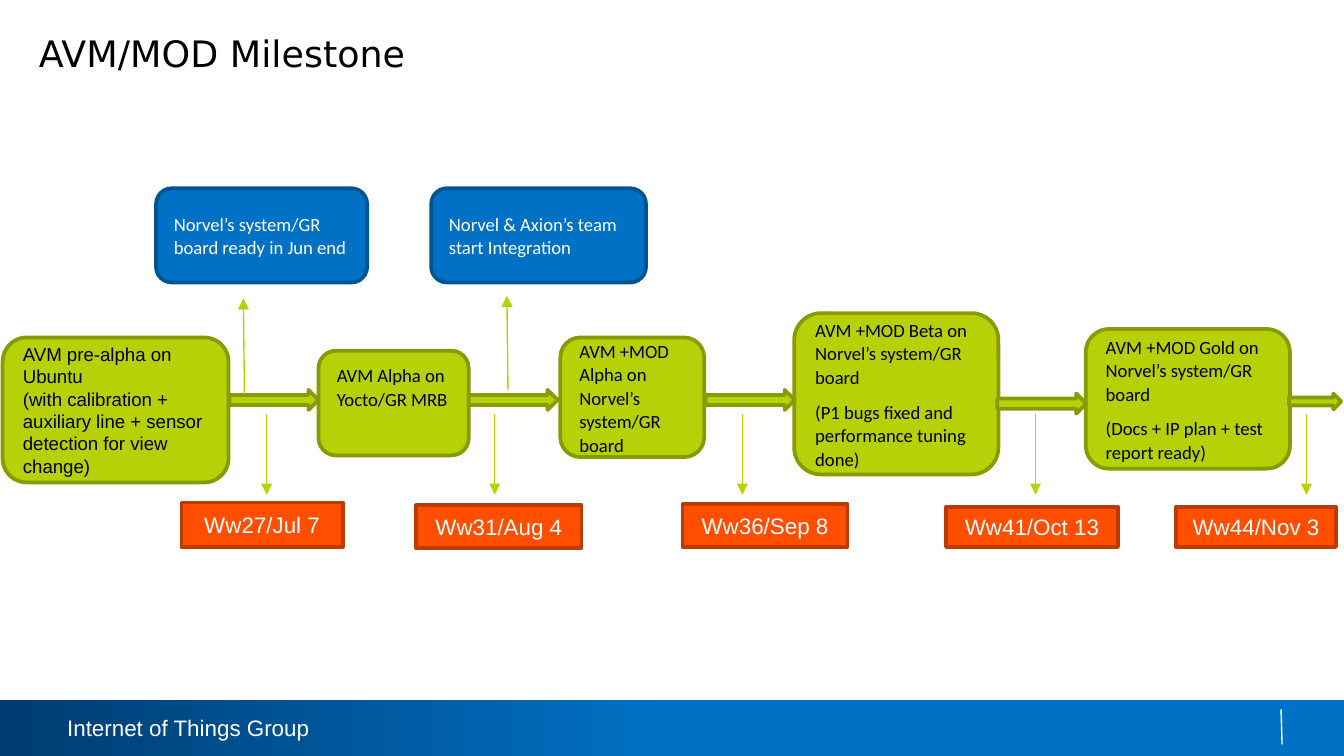
from lxml.etree import SubElement
from pptx import Presentation
from pptx.dml.color import RGBColor
from pptx.enum.shapes import MSO_CONNECTOR, MSO_SHAPE
from pptx.enum.text import MSO_ANCHOR, MSO_AUTO_SIZE, PP_ALIGN
from pptx.oxml.ns import qn
from pptx.util import Cm, Pt

WHITE, BLACK = "FFFFFF", "000000"
GREEN = ("B7D108", "879B06")
BLUE = ("0071C5", "005492")
ORANGE = ("FF4E00", "BD3A00")

# box, font, paragraphs, bottom inset
STAGES = [
    ((0.05, 6.38, 4.27, 2.74), "Arial",
     ["AVM pre-alpha on Ubuntu",
      "(with calibration + auxiliary line + sensor detection for view change)"], 0.13),
    ((6.02, 6.63, 2.84, 1.98), "Calibri", ["AVM Alpha on Yocto/GR MRB"], 0.75),
    ((10.59, 6.38, 2.72, 2.26), "Calibri",
     ["AVM +MOD Alpha on Norvel’s system/GR board"], 0.13),
    ((15.01, 5.92, 3.86, 3.05), "Calibri",
     ["AVM +MOD Beta on Norvel’s system/GR board",
      "(P1 bugs fixed and performance tuning done)"], 0.13),
    ((20.52, 6.22, 3.86, 2.64), "Calibri",
     ["AVM +MOD Gold on Norvel’s system/GR board",
      "(Docs + IP plan + test report ready)"], 0.13),
]
NOTES = [
    ((2.95, 3.56, 3.99, 1.78), "Norvel’s system/GR board ready in Jun end"),
    ((8.15, 3.56, 4.06, 1.78), "Norvel & Axion’s team start Integration"),
]
FLOWS = [(4.34, 7.37, 1.68, 0.38), (8.86, 7.37, 1.68, 0.38),
         (13.34, 7.37, 1.68, 0.38), (18.85, 7.44, 1.68, 0.38),
         (24.36, 7.44, 0.99, 0.3)]
# box, date, x of the arrow that points to it
DATES = [
    ((3.43, 9.5, 3.05, 0.84), "Ww27/Jul 7", 5.04),
    ((7.87, 9.55, 3.12, 0.81), "Ww31/Aug 4", 9.35),
    ((12.9, 9.53, 3.12, 0.81), "Ww36/Sep 8", 14.03),
    ((17.88, 9.58, 3.25, 0.76), "Ww41/Oct 13", 19.57),
    ((22.23, 9.58, 3.02, 0.76), "Ww44/Nov 3", 24.69),
]


def color(code):
    return RGBColor.from_string(code)


def lengths(box):
    return [Cm(n) for n in box]


def write(para, text, font, size, code):
    run = para.add_run()
    run.text = text
    run.font.name = font
    run.font.size = Pt(size)
    run.font.color.rgb = color(code)


def add_block(slide, kind, box, colors):
    shape = slide.shapes.add_shape(kind, *lengths(box))
    shape.shadow.inherit = False
    shape.fill.solid()
    shape.fill.fore_color.rgb = color(colors[0])
    shape.line.color.rgb = color(colors[1])
    shape.line.width = Pt(2)
    return shape


def add_card(slide, box, colors, font, texts, code, bottom=0.13):
    """Rounded box with left-aligned text; Calibri cards get looser spacing."""
    frame = add_block(slide, MSO_SHAPE.ROUNDED_RECTANGLE, box, colors).text_frame
    frame.vertical_anchor = MSO_ANCHOR.MIDDLE
    frame.margin_bottom = Cm(bottom)
    for i, text in enumerate(texts):
        para = frame.add_paragraph() if i else frame.paragraphs[0]
        para.alignment = PP_ALIGN.LEFT
        if font == "Calibri":
            para.line_spacing = 1.05
            para.space_after = Pt(6)
        write(para, text, font, 10, code)


def add_date(slide, box, text):
    frame = add_block(slide, MSO_SHAPE.FLOWCHART_PROCESS, box, ORANGE).text_frame
    frame.vertical_anchor = MSO_ANCHOR.MIDDLE
    para = frame.paragraphs[0]
    para.alignment = PP_ALIGN.CENTER
    write(para, text, "Arial", 12, WHITE)


def add_line(slide, ends, code, head=True):
    line = slide.shapes.add_connector(MSO_CONNECTOR.STRAIGHT, *lengths(ends))
    line.line.color.rgb = color(code)
    line.line.width = Pt(0.75)
    if head:
        SubElement(line.line._get_or_add_ln(), qn("a:tailEnd"), type="triangle")
    SubElement(line._element.spPr, qn("a:effectLst"))


def add_title(slide, text):
    title = slide.shapes.title
    title.left, title.top, title.width, title.height = lengths((0.48, 0.46, 7.54, 1.09))
    frame = title.text_frame
    frame.word_wrap = False
    frame.auto_size = MSO_AUTO_SIZE.NONE
    frame.vertical_anchor = MSO_ANCHOR.MIDDLE
    para = frame.paragraphs[0]
    para.alignment = PP_ALIGN.LEFT
    write(para, text, "DejaVu Sans", 19.5, BLACK)


def add_footer(slide, text):
    bar = slide.shapes.add_shape(MSO_SHAPE.RECTANGLE, *lengths((0, 13.23, 25.4, 1.06)))
    bar.shadow.inherit = False
    bar.line.fill.background()
    bar.fill.gradient()
    bar.fill.gradient_angle = 0
    for stop, place, code in zip(bar.fill.gradient_stops, (0, 0.5), ("003C71", "0071C5")):
        stop.position = place
        stop.color.rgb = color(code)
    frame = slide.shapes.add_textbox(*lengths((1.27, 13.49, 4.78, 0.51))).text_frame
    frame.margin_left = frame.margin_right = frame.margin_top = frame.margin_bottom = 0
    frame.word_wrap = False
    write(frame.paragraphs[0], text, "Arial", 12, WHITE)
    add_line(slide, (24.21, 13.41, 24.23, 14.07), WHITE, head=False)


def main():
    deck = Presentation()
    deck.slide_width, deck.slide_height = Cm(25.4), Cm(14.29)
    slide = deck.slides.add_slide(deck.slide_layouts[5])
    add_footer(slide, "Internet of Things Group")
    add_title(slide, "AVM/MOD Milestone")
    for box, font, texts, bottom in STAGES:
        add_card(slide, box, GREEN, font, texts, BLACK, bottom)
    for box in FLOWS:
        add_block(slide, MSO_SHAPE.RIGHT_ARROW, box, GREEN)
    for box, text, x in DATES:
        add_date(slide, box, text)
        add_line(slide, (x, 7.82, x, 9.35), "B7D103")
    for box, text in NOTES:
        add_card(slide, box, BLUE, "Calibri", [text], WHITE)
    for ends in ((4.62, 7.44, 4.6, 5.64), (9.6, 7.37, 9.58, 5.59)):
        add_line(slide, ends, "B7D103")
    deck.save("out.pptx")


if __name__ == "__main__":
    main()
